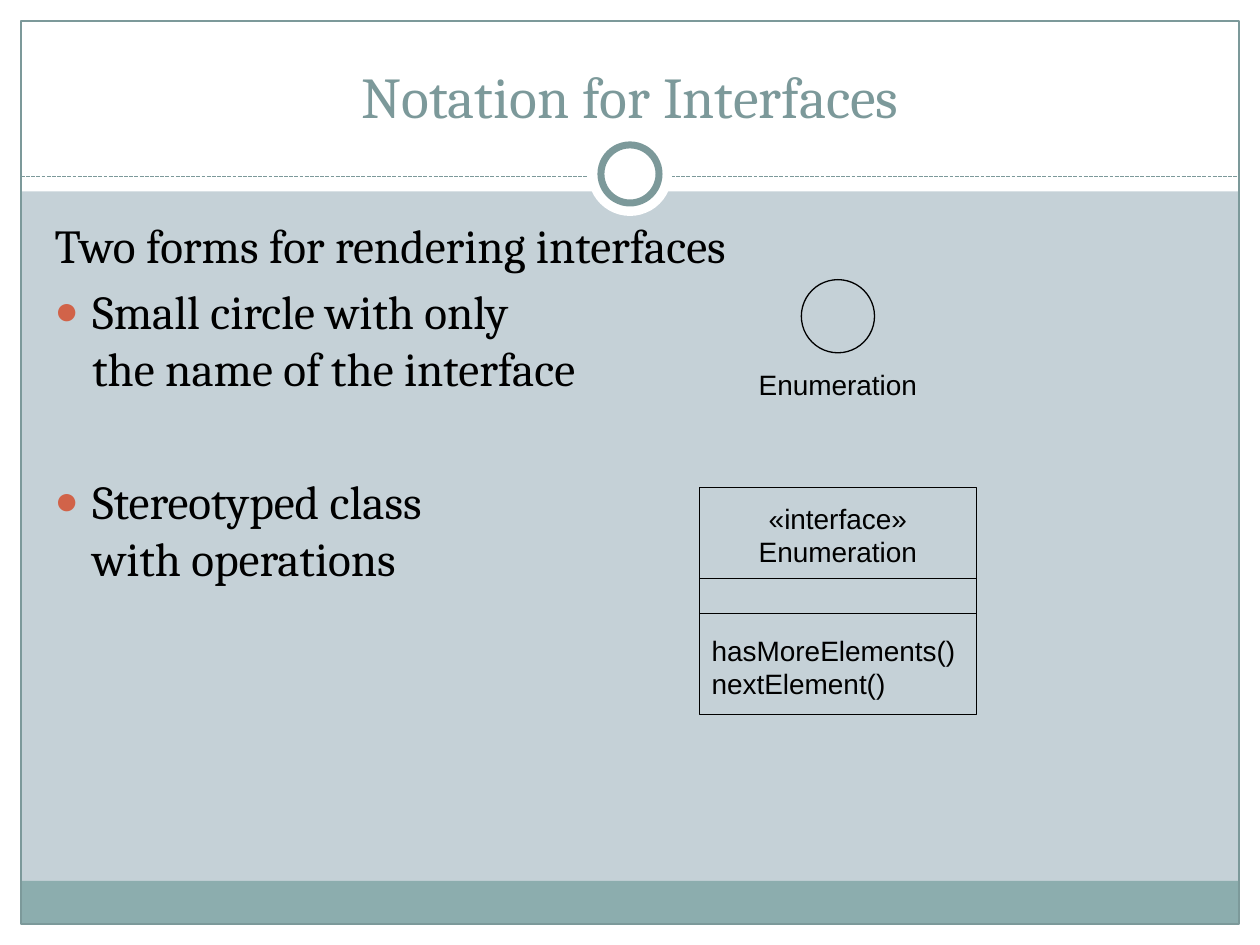
from pptx import Presentation
from pptx.util import Pt
from pptx.dml.color import RGBColor
from pptx.enum import dml, shapes, text
from pptx.oxml import parse_xml
from pptx.oxml.ns import nsdecls

# Content
TITLE = "Notation for Interfaces"
BODY = [  # text, bulleted, space before
    ("Two forms for rendering interfaces", False, 5.4),
    ("Small circle with only\vthe name of the interface", True, 5.4),
    ("Stereotyped class\vwith operations", True, 43.5),
]
INTERFACE = "Enumeration"
CLASS_LINES = [  # text, centred, space before
    ("\u00abinterface\u00bb", True, 0),
    (INTERFACE, True, 0),
    ("hasMoreElements()", False, 37),
    ("nextElement()", False, 0),
]
COLORS = {"back": "C5D1D7", "white": "FFFFFF", "band": "8CADAE",
          "frame": "7C999A", "bullet": "D16349", "ink": "000000"}
SERIF, SANS = "Cambria", "Arial"

# Layout
W, H, EDGE = 720, 540, 12
DIVIDER_Y, RING_Y = 100.8, 99.4
CLASS_X, CLASS_Y, CLASS_W, CLASS_H = 399.6, 278.6, 158.4, 129.6
CLASS_RULES = (330.5, 350.6)
CIRCLE = 41.8
MID = CLASS_X + CLASS_W / 2


def rgb(name):
    return RGBColor.from_string(COLORS[name])


def set_line(line, color, width=0.75):
    line.color.rgb = rgb(color)
    line.width = Pt(width)


def add_shape(parent, kind, x, y, w, h, fill=None, line=None, width=0.75):
    sp = parent.add_shape(kind, Pt(x), Pt(y), Pt(w), Pt(h))
    sp.shadow.inherit = False
    if fill:
        sp.fill.solid()
        sp.fill.fore_color.rgb = rgb(fill)
    else:
        sp.fill.background()
    if line:
        set_line(sp.line, line, width)
    else:
        sp.line.fill.background()
    return sp


def add_rule(parent, x1, x2, y, color):
    c = parent.add_connector(shapes.MSO_CONNECTOR.STRAIGHT, Pt(x1), Pt(y), Pt(x2), Pt(y))
    set_line(c.line, color)
    c._element.spPr.append(parse_xml(f"<a:effectLst {nsdecls('a')}/>"))
    return c


def style(p, size, font, color, align, before=0):
    p.alignment = align
    p.space_before = Pt(before)
    for r in p.runs:
        r.font.size = Pt(size)
        r.font.name = font
        r.font.color.rgb = rgb(color)


def set_bullet(p, bulleted):
    pPr = p._p.get_or_add_pPr()
    indent = Pt(21.6) if bulleted else 0
    pPr.set("marL", str(indent))
    pPr.set("indent", str(-indent))
    parts = ["<a:buNone {}/>"]
    if bulleted:
        parts = [f'<a:buClr {{}}><a:srgbClr val="{COLORS["bullet"]}"/></a:buClr>',
                 '<a:buSzPct {} val="85000"/>', '<a:buChar {} char="\u25cf"/>']
    for part in parts:
        pPr.append(parse_xml(part.format(nsdecls("a"))))


def place(sp, x, y, w, h, anchor):
    sp.left, sp.top, sp.width, sp.height = Pt(x), Pt(y), Pt(w), Pt(h)
    tf = sp.text_frame
    tf.auto_size = text.MSO_AUTO_SIZE.NONE
    tf.vertical_anchor = anchor
    s.shapes._spTree.append(sp._element)
    return tf


prs = Presentation()
prs.slide_width, prs.slide_height = Pt(W), Pt(H)
s = prs.slides.add_slide(prs.slide_layouts[1])
s.background.fill.solid()
s.background.fill.fore_color.rgb = rgb("back")
RECT, OVAL = shapes.MSO_SHAPE.RECTANGLE, shapes.MSO_SHAPE.OVAL
LEFT, CENTER = text.PP_ALIGN.LEFT, text.PP_ALIGN.CENTER

# Page margins, header, footer band and frame
for box in [(0, H - EDGE, W, EDGE), (0, 0, W, 109.4),
            (0, 0, EDGE, H), (W - EDGE, 0, EDGE, H)]:
    add_shape(s.shapes, RECT, *box, fill="white")
add_shape(s.shapes, RECT, EDGE, 503.3, W - 2 * EDGE, 24.7, fill="band")
add_shape(s.shapes, RECT, EDGE, EDGE, W - 2 * EDGE, H - 2 * EDGE, line="frame")

# Divider with ring
divider = add_rule(s.shapes, EDGE, W - EDGE, DIVIDER_Y, "frame")
divider.line.dash_style = dml.MSO_LINE.SQUARE_DOT
for d, line in [(48, None), (33.2, "frame")]:
    add_shape(s.shapes, OVAL, (W - d) / 2, RING_Y - d / 2, d, d, "white", line, 4)

# Title and list
tf = place(s.shapes.title, 24, 18, 672, 60, text.MSO_ANCHOR.BOTTOM)
tf.text = TITLE
style(tf.paragraphs[0], 33, SERIF, "frame", CENTER)

tf = place(s.placeholders[1], 24, 120, 669.6, 360, text.MSO_ANCHOR.TOP)
tf.text = "\n".join(item[0] for item in BODY)
for p, (_, bulleted, before) in zip(tf.paragraphs, BODY):
    style(p, 27, SERIF, "ink", LEFT, before)
    set_bullet(p, bulleted)

# Stereotyped class
group = s.shapes.add_group_shape().shapes
sp = add_shape(group, RECT, CLASS_X, CLASS_Y, CLASS_W, CLASS_H, line="ink")
tf = sp.text_frame
tf.word_wrap = False
tf.vertical_anchor = text.MSO_ANCHOR.MIDDLE
tf.text = "\n".join(item[0] for item in CLASS_LINES)
for p, (_, centred, before) in zip(tf.paragraphs, CLASS_LINES):
    style(p, 16, SANS, "ink", CENTER if centred else LEFT, before)
for y in CLASS_RULES:
    add_rule(group, CLASS_X, CLASS_X + CLASS_W, y, "ink")

# Small circle with name
group = s.shapes.add_group_shape().shapes
add_shape(group, OVAL, MID - CIRCLE / 2, 159.8, CIRCLE, CIRCLE, line="ink")
tf = group.add_textbox(Pt(MID - 52.5), Pt(206.6), Pt(105), Pt(26.6)).text_frame
tf.word_wrap = False
tf.vertical_anchor = text.MSO_ANCHOR.MIDDLE
tf.text = INTERFACE
style(tf.paragraphs[0], 16, SANS, "ink", CENTER)

prs.save("out.pptx")
